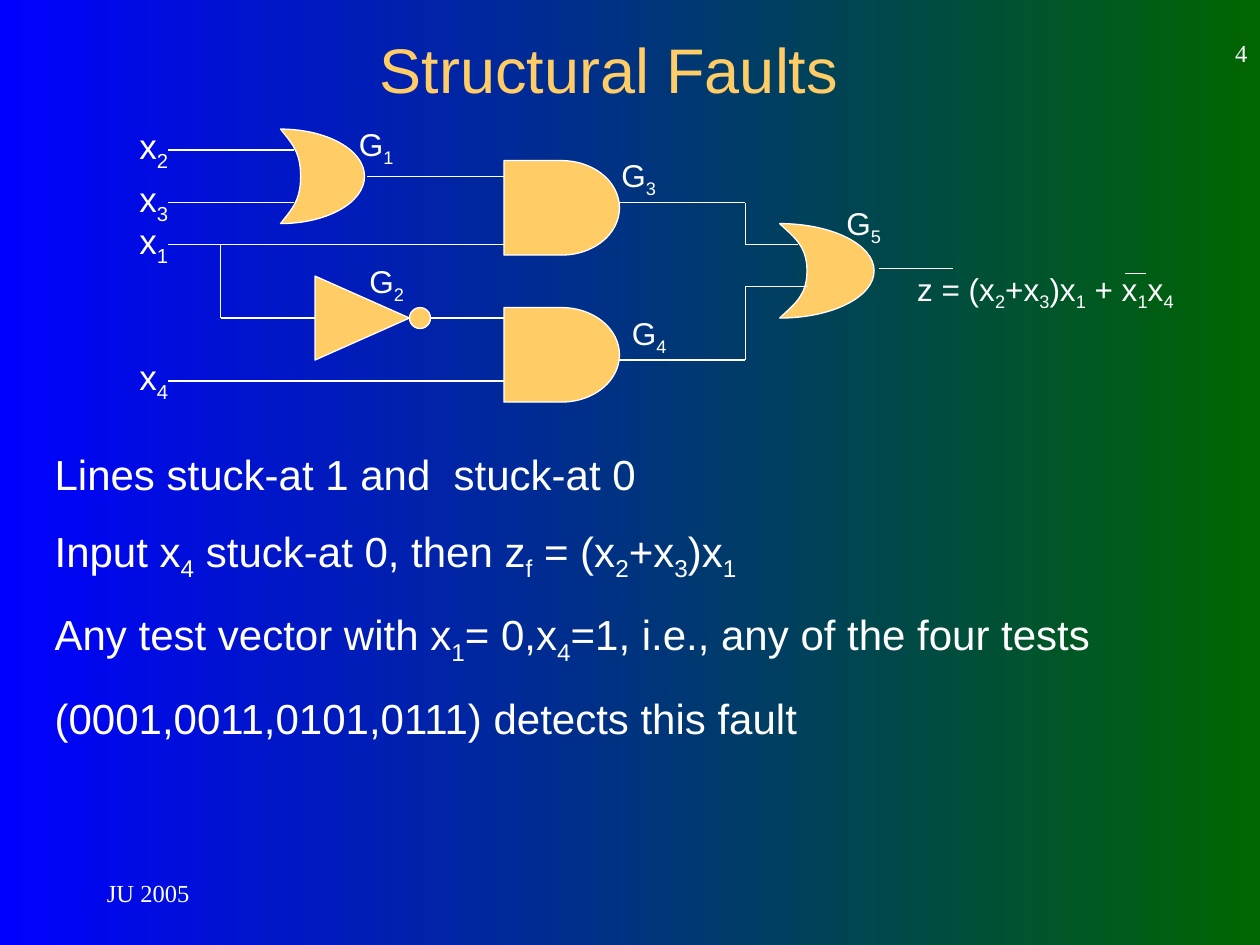
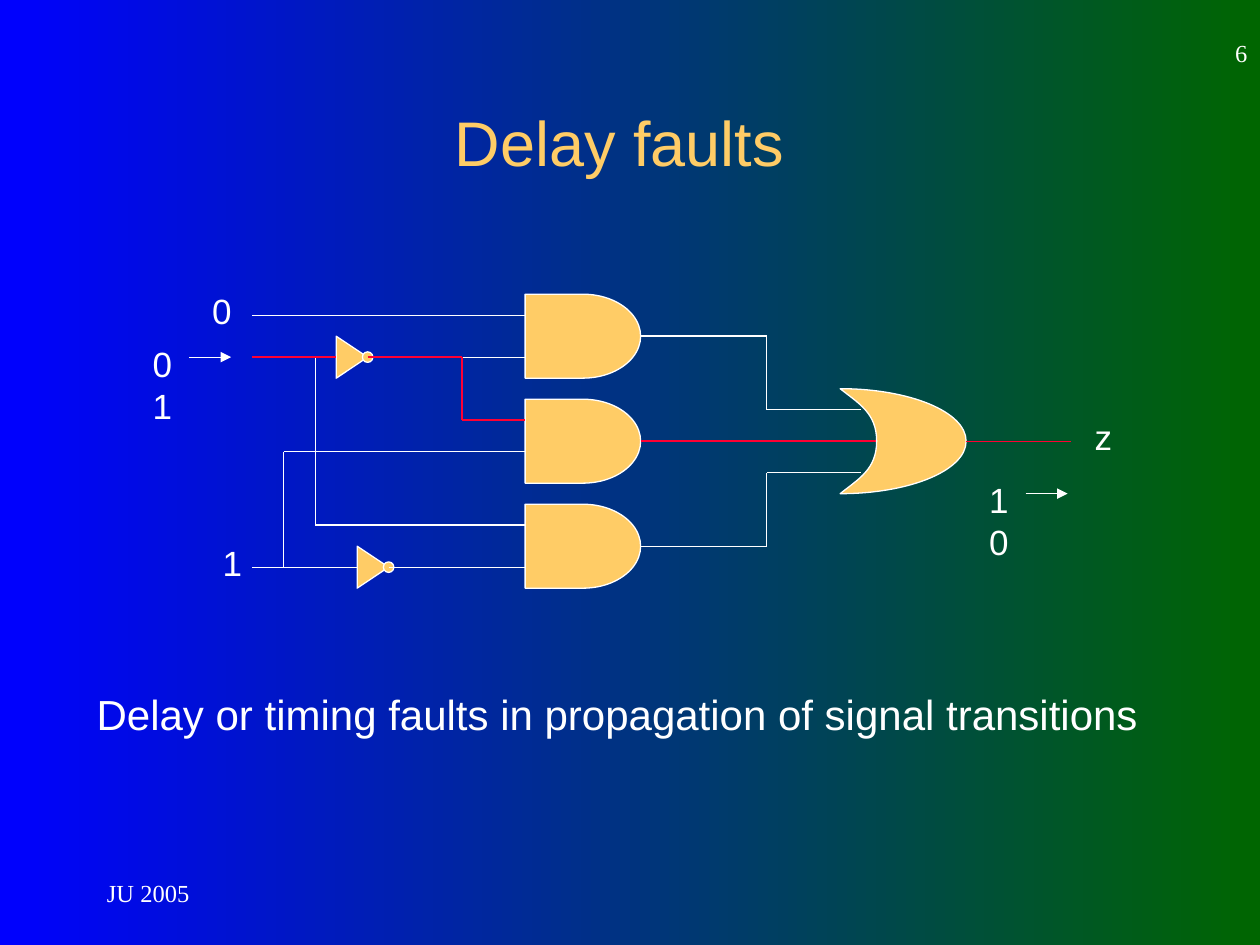
from itertools import pairwise

from lxml import etree
from pptx import Presentation
from pptx.dml.color import RGBColor
from pptx.enum.shapes import MSO_CONNECTOR, MSO_SHAPE
from pptx.enum.text import MSO_ANCHOR, MSO_AUTO_SIZE, PP_ALIGN
from pptx.oxml.ns import qn
from pptx.util import Pt

STRAIGHT = MSO_CONNECTOR.STRAIGHT
AND_SHAPE = MSO_SHAPE.FLOWCHART_DELAY
TRIANGLE = MSO_SHAPE.ISOSCELES_TRIANGLE
EXTRACT = MSO_SHAPE.FLOWCHART_EXTRACT
CIRCLE = MSO_SHAPE.OVAL
TOP, MIDDLE = MSO_ANCHOR.TOP, MSO_ANCHOR.MIDDLE
LEFT, CENTER, RIGHT = PP_ALIGN.LEFT, PP_ALIGN.CENTER, PP_ALIGN.RIGHT
NO_FIT = MSO_AUTO_SIZE.NONE

WHITE = RGBColor(0xFF, 0xFF, 0xFF)
GOLD = RGBColor(0xFF, 0xCC, 0x66)
RED = RGBColor(0xFF, 0x00, 0x33)
GREEN = RGBColor(0x00, 0x66, 0x00)
BLUE = RGBColor(0x00, 0x00, 0xFF)

TITLE = {"name": "Arial", "size": Pt(36), "color": GOLD}
BODY = {"name": "Arial", "size": Pt(24), "color": WHITE}
SIGNAL = {"name": "Arial", "size": Pt(20), "color": WHITE}
GATE_NAME = {"name": "Arial", "size": Pt(18), "color": WHITE}
FOOTER = {"name": "Times New Roman", "size": Pt(14), "color": WHITE}

AND_WIDTH = 66
RIGHT_SIDE = 3


# Text
def apply_font(font, style):
    for key, value in style.items():
        if key == "color":
            font.color.rgb = value
        else:
            setattr(font, key, value)


def add_span(para, text, style, subscript=False):
    if not text:
        return
    span = para.add_run()
    span.text = text
    apply_font(span.font, style)
    if subscript:
        span._r.get_or_add_rPr().set("baseline", "-25000")


def fill_text(shape, lines, style, align=LEFT, anchor=TOP, gap=0, wrap=True, margin_right=7.2):
    """Write one paragraph per line; the character after "_" is a subscript."""
    frame = shape.text_frame
    settings = {"word_wrap": wrap, "auto_size": NO_FIT, "vertical_anchor": anchor,
                "margin_left": Pt(7.2), "margin_right": Pt(margin_right),
                "margin_top": Pt(3.6), "margin_bottom": Pt(3.6)}
    for key, value in settings.items():
        setattr(frame, key, value)
    for index, line in enumerate(lines):
        para = frame.add_paragraph() if index else frame.paragraphs[0]
        para.alignment = align
        para.space_before = Pt(gap if index else 0)
        properties = para._p.get_or_add_pPr()
        properties.set("marL", "0")
        properties.set("indent", "0")
        etree.SubElement(properties, qn("a:buNone"))
        first, *rest = line.split("_")
        add_span(para, first, style)
        for part in rest:
            add_span(para, part[0], style, subscript=True)
            add_span(para, part[1:], style)


def add_text(shapes, box, lines, style, **options):
    shape = shapes.add_textbox(*map(Pt, box))
    fill_text(shape, lines, style, **options)


def place_placeholder(shape, box, lines, style, **options):
    for key, value in zip(("left", "top", "width", "height"), box):
        setattr(shape, key, Pt(value))
    fill_text(shape, lines, style, **options)


# Curves
def or_curves(notch):
    """Two controls and an end per curve, from (0, 1) in a unit square."""
    return (((notch / 2, 0.86), (notch, 0.77), (notch, 0.5)),
            ((notch, 0.23), (notch / 2, 0.14), (0, 0)),
            ((0.55, 0), (1, 0.22), (1, 0.5)),
            ((1, 0.78), (0.55, 1), (0, 1)))


def bend_lines(shape, curves):
    """Turn the straight segments of a freeform into cubic curves."""
    segments = list(shape._element.iter(qn("a:lnTo")))
    for segment, (*controls, _) in zip(segments, curves):
        segment.tag = qn("a:cubicBezTo")
        for index, (u, v) in enumerate(controls):
            point = etree.Element(qn("a:pt"), x=str(round(u * shape.width)),
                                  y=str(round(v * shape.height)))
            segment.insert(index, point)


# Circuit parts, placed relative to the circuit's corner
class Circuit:
    def __init__(self, page, left, top):
        self.left, self.top = left, top
        self.shapes = page.shapes.add_group_shape().shapes

    def at(self, x, y):
        return Pt(self.left + x), Pt(self.top + y)

    def paint(self, shape):
        shape.shadow.inherit = False
        shape.fill.solid()
        shape.fill.fore_color.rgb = GOLD
        shape.line.color.rgb = WHITE
        shape.line.width = Pt(0.75)
        return shape

    def preset(self, kind, x, y, width, height):
        shape = self.shapes.add_shape(kind, *self.at(x, y), Pt(width), Pt(height))
        return self.paint(shape)

    def and_gate(self, x, y, height):
        return self.preset(AND_SHAPE, x, y, AND_WIDTH, height)

    def or_gate(self, x, y, width, height, notch):
        curves = or_curves(notch)
        ends = [self.at(x + u * width, y + v * height) for *_, (u, v) in curves]
        builder = self.shapes.build_freeform(*ends[-1])
        builder.add_line_segments(ends, close=True)
        gate = self.paint(builder.convert_to_shape())
        bend_lines(gate, curves)

    def inverter(self, kind, x, middle, length, height, bubble, bubble_x):
        triangle = self.preset(kind, x + (length - height) / 2,
                               middle - length / 2, height, length)
        triangle.rotation = 90
        self.preset(CIRCLE, bubble_x, middle - bubble / 2, bubble, bubble)

    def wire(self, *points, color=WHITE, width=0.75, source=None, arrow=False):
        """Straight lines through the points, from the output of source if given."""
        for index, (start, end) in enumerate(pairwise(points)):
            line = self.shapes.add_connector(STRAIGHT, *self.at(*start), *self.at(*end))
            line.line.color.rgb = color
            line.line.width = Pt(width)
            if source is not None and index == 0:
                line.begin_connect(source, RIGHT_SIDE)
            if arrow:
                etree.SubElement(line.line._get_or_add_ln(), qn("a:tailEnd"), type="triangle")
            etree.SubElement(line._element.spPr, qn("a:effectLst"))

    def label(self, x, y, text, style=SIGNAL, width=32, height=32, wrap=False, **options):
        box = (self.left + x, self.top + y, width, height)
        add_text(self.shapes, box, [text], style, wrap=wrap, **options)


def draw_structural_circuit(page, left, top):
    circuit = Circuit(page, left, top)
    # Gates
    circuit.or_gate(88.3, 6, 48, 54, 0.24)
    circuit.and_gate(216, 24, 54)
    circuit.or_gate(373.5, 60, 54, 54, 0.29)
    circuit.inverter(TRIANGLE, 108, 114, 54, 48, 12, 162)
    circuit.and_gate(216, 108, 54)
    # Input wires and their names
    for name, row, end in (("x_2", 18, 96), ("x_3", 48, 96), ("x_1", 72, 216), ("x_4", 150, 216)):
        circuit.wire((24, row), (end, row))
        circuit.label(0.5, row - 18, name)
    # Inner and output wires
    circuit.wire((54, 72), (54, 114), (108, 114))
    circuit.wire((138, 33), (216, 33))
    circuit.wire((174, 114), (216, 114))
    circuit.wire((282, 48), (354, 48), (354, 72), (384, 72))
    circuit.wire((282, 138), (354, 138), (354, 96), (390, 96))
    circuit.wire((430.5, 85.7), (472.5, 85.7))
    # Gate names
    gate_corners = ((126, 0), (132, 78.5), (276, 18), (282, 108), (404.6, 45.5))
    for number, corner in enumerate(gate_corners, 1):
        circuit.label(*corner, f"G_{number}", style=GATE_NAME, width=48)
    # Output formula with its negation bar
    circuit.label(445, 82.75, "z = (x_2+x_3)x_1 + x_1x_4", style=GATE_NAME, width=192, wrap=True)
    circuit.wire((571, 88.6), (583, 88.6))


def draw_delay_circuit(page, left, top):
    circuit = Circuit(page, left, top)
    # Plain input wires
    circuit.wire((66, 18), (222, 18))
    circuit.wire((66, 162), (126, 162))
    circuit.wire((102, 42), (102, 138), (222, 138))
    circuit.wire((84, 162), (84, 96), (222, 96))
    # AND gates and inverters
    first, second, third = (circuit.and_gate(222, 6 + 60 * row, 48) for row in range(3))
    for x, middle in ((114, 42), (126, 162)):
        circuit.inverter(EXTRACT, x, middle, 18, 24, 6, x + 15)
    circuit.wire((144, 162), (222, 162))
    circuit.wire((186, 42), (222, 42))
    # Slow path through the second gate
    slow = {"color": RED, "width": 1.5}
    circuit.wire((66, 42), (114, 42), **slow)
    circuit.wire((132, 42), (186, 42), (186, 78), (222, 78), **slow)
    circuit.wire((288, 90), (432, 90), source=second, **slow)
    # OR gate and the wires around it
    circuit.or_gate(402, 60, 72, 60, 0.29)
    circuit.wire((288, 30), (360, 30), (360, 72), (414, 72), source=first)
    circuit.wire((288, 150), (360, 150), (360, 108), (414, 108), source=third)
    circuit.wire((474, 90), (534, 90), color=RED)
    # Signal values and transitions
    for x, y, text in ((36, 0, "0"), (42, 144, "1"), (540.3, 72, "z")):
        circuit.label(x, y, text)
    for x, y, text in ((2, 30, "0 1"), (480, 108, "1 0")):
        circuit.label(x, y, text, width=70, height=55, wrap=True, margin_right=40)
        circuit.wire((x + 28, y + 12), (x + 52, y + 12), arrow=True)


# Slides
def set_background(master):
    fill = master.background.fill
    fill.gradient()
    fill.gradient_angle = 180
    for stop, color, position in zip(fill.gradient_stops, (GREEN, BLUE), (0, 1)):
        stop.color.rgb = color
        stop.position = position


def add_page(deck, number, title, title_box, lines, body_box):
    page = deck.slides.add_slide(deck.slide_layouts[1])
    heading, body = page.placeholders
    place_placeholder(heading, title_box, [title], TITLE, align=CENTER, anchor=MIDDLE)
    place_placeholder(body, body_box, lines, BODY, gap=15)
    add_text(page.shapes, (570, 12, 150, 36), [number], FOOTER, align=RIGHT, anchor=MIDDLE)
    add_text(page.shapes, (54, 492, 150, 36), ["JU 2005"], FOOTER, anchor=MIDDLE)
    return page


def main():
    deck = Presentation()
    deck.slide_width, deck.slide_height = Pt(720), Pt(540)
    set_background(deck.slide_master)

    structural = add_page(
        deck, "4", "Structural Faults", (42, 0, 612, 78),
        ["Lines stuck-at 1 and  stuck-at 0",
         "Input x_4 stuck-at 0, then z_f = (x_2+x_3)x_1",
         "Any test vector with x_1= 0,x_4=1, i.e., any of the four tests",
         "(0001,0011,0101,0111) detects this fault"],
        (24, 252.6, 666, 220))
    draw_structural_circuit(structural, 72, 67.75)

    delay = add_page(
        deck, "6", "Delay faults", (48, 36, 612, 90),
        ["Delay or timing faults in propagation of signal transitions"],
        (48, 390, 630, 36))
    draw_delay_circuit(delay, 78.1, 162.1)

    deck.save("out.pptx")


if __name__ == "__main__":
    main()
